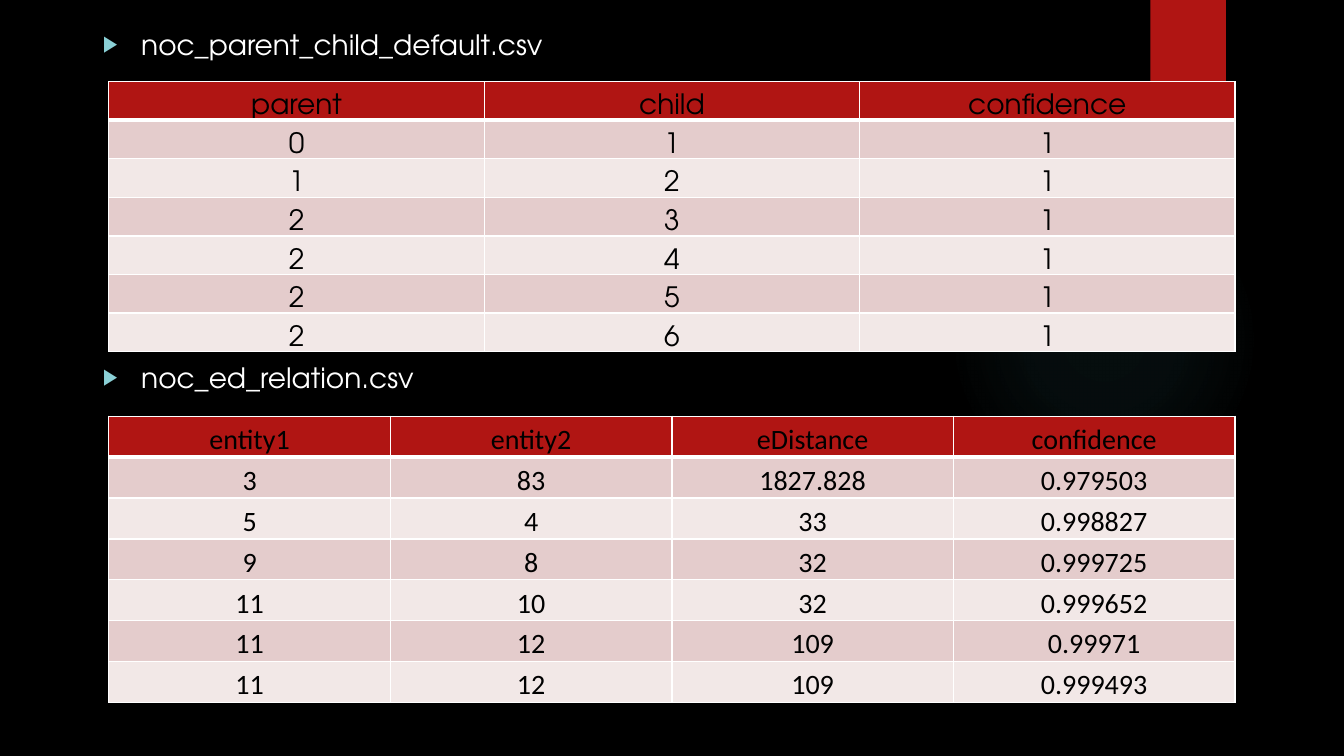
from lxml import etree
from pptx import Presentation
from pptx.dml.color import RGBColor
from pptx.enum.shapes import MSO_SHAPE
from pptx.enum.text import MSO_ANCHOR, PP_ALIGN
from pptx.oxml import parse_xml
from pptx.oxml.ns import qn
from pptx.util import Inches, Pt

RECTANGLE, OVAL = MSO_SHAPE.RECTANGLE, MSO_SHAPE.OVAL
CENTER, TOP, BOTTOM = PP_ALIGN.CENTER, MSO_ANCHOR.TOP, MSO_ANCHOR.BOTTOM
DRAWING = "http://schemas.openxmlformats.org/drawingml/2006/main"

BODY_FONT = "TeX Gyre Adventor"
BLACK, WHITE, RED = "000000", "FFFFFF", "B01513"
BAND_COLORS = ("E4CCCC", "F2E8E7")
BULLET_COLOR, GLOW_COLOR = "8AD0D6", "50B9C1"
GLOW_STOPS = ((0, 7), (36, 6), (69, 0))  # position %, opacity %
TEXT_SIZE = Pt(20)
TABLE_LEFT, TABLE_WIDTH = 1.08, 11.17

# File name and the space before it, in points
FILES = (("noc_parent_child_default.csv", 10), ("noc_ed_relation.csv", 214))

TABLES = (
    {
        "top": 0.81, "height": 2.68, "font": BODY_FONT,
        "rows": (
            ("parent", "child", "confidence"),
            ("0", "1", "1"),
            ("1", "2", "1"),
            ("2", "3", "1"),
            ("2", "4", "1"),
            ("2", "5", "1"),
            ("2", "6", "1"),
        ),
    },
    {
        "top": 4.13, "height": 2.84, "font": "Calibri",
        "rows": (
            ("entity1", "entity2", "eDistance", "confidence"),
            ("3", "83", "1827.828", "0.979503"),
            ("5", "4", "33", "0.998827"),
            ("9", "8", "32", "0.999725"),
            ("11", "10", "32", "0.999652"),
            ("11", "12", "109", "0.99971"),
            ("11", "12", "109", "0.999493"),
        ),
    },
)


def color(hex_value):
    return RGBColor.from_string(hex_value)


def set_fill(target, hex_value):
    target.fill.solid()
    target.fill.fore_color.rgb = color(hex_value)


def style_font(paragraph, font_name, hex_value):
    font = paragraph.font
    font.name, font.size, font.bold = font_name, TEXT_SIZE, False
    font.color.rgb = color(hex_value)


def add_decoration(slide, kind, left, top, width, height):
    shape = slide.shapes.add_shape(
        kind, Inches(left), Inches(top), Inches(width), Inches(height))
    shape.shadow.inherit = False
    shape.line.fill.background()
    set_fill(shape, RED)
    return shape


def set_glow(shape):
    """Replace the solid fill with a radial gradient that fades out."""
    stops = "".join(
        f'<a:gs pos="{position * 1000}"><a:srgbClr val="{GLOW_COLOR}">'
        f'<a:alpha val="{opacity * 1000}"/></a:srgbClr></a:gs>'
        for position, opacity in GLOW_STOPS)
    gradient = parse_xml(
        f'<a:gradFill xmlns:a="{DRAWING}"><a:gsLst>{stops}</a:gsLst>'
        '<a:path path="circle"><a:fillToRect l="50000" t="50000" r="50000" b="50000"/>'
        '</a:path></a:gradFill>')
    properties = shape._element.spPr
    properties.replace(properties.find(qn("a:solidFill")), gradient)


def set_bullet(paragraph):
    properties = paragraph._p.get_or_add_pPr()
    properties.set("marL", str(Inches(0.38)))
    properties.set("indent", str(-Inches(0.38)))
    bullet_color = etree.SubElement(properties, qn("a:buClr"))
    etree.SubElement(bullet_color, qn("a:srgbClr"), val=BULLET_COLOR)
    etree.SubElement(properties, qn("a:buSzPct"), val="80000")
    etree.SubElement(properties, qn("a:buChar"), char="▶")


def set_borders(cell, top_width, bottom_width):
    properties = cell._tc.get_or_add_tcPr()
    widths = {"lnL": 1, "lnR": 1, "lnT": top_width, "lnB": bottom_width}
    for side, width in widths.items():
        line = etree.SubElement(properties, qn(f"a:{side}"), w=str(Pt(width)))
        fill = etree.SubElement(line, qn("a:solidFill"))
        etree.SubElement(fill, qn("a:srgbClr"), val=WHITE)


def fill_body(body):
    body.left, body.top = Inches(0.92), Inches(0.22)
    body.width, body.height = Inches(11.5), Inches(6.75)
    frame = body.text_frame
    frame.vertical_anchor = TOP
    frame.text = "\n".join(name for name, _ in FILES)
    for paragraph, (_, space_before) in zip(frame.paragraphs, FILES):
        paragraph.space_before = Pt(space_before)
        set_bullet(paragraph)
        style_font(paragraph, BODY_FONT, WHITE)


def add_data_table(slide, top, height, font, rows):
    table = slide.shapes.add_table(
        len(rows), len(rows[0]), Inches(TABLE_LEFT), Inches(top),
        Inches(TABLE_WIDTH), Inches(height)).table
    for row_index, row in enumerate(rows):
        fill = BAND_COLORS[(row_index - 1) % 2] if row_index else RED
        for column_index, text in enumerate(row):
            cell = table.cell(row_index, column_index)
            cell.text = text
            cell.vertical_anchor = BOTTOM
            cell.margin_left = cell.margin_right = cell.margin_top = Inches(0.01)
            cell.margin_bottom = 0
            set_borders(cell, 3 if row_index == 1 else 1, 3 if row_index == 0 else 1)
            set_fill(cell, fill)
            paragraph = cell.text_frame.paragraphs[0]
            paragraph.alignment = CENTER
            style_font(paragraph, font, BLACK)


def main():
    presentation = Presentation()
    presentation.slide_width, presentation.slide_height = Inches(13.33), Inches(7.5)
    slide = presentation.slides.add_slide(presentation.slide_layouts[1])
    set_fill(slide.background, BLACK)
    title, body = slide.placeholders
    title._element.getparent().remove(title._element)

    set_glow(add_decoration(slide, OVAL, 9.41, 1.83, 3.08, 3.08))
    add_decoration(slide, RECTANGLE, 11.41, 0, 0.75, 1.25)
    slide.shapes._spTree.append(body._element)  # in front of the decorations
    fill_body(body)
    for table in TABLES:
        add_data_table(slide, **table)
    presentation.save("out.pptx")


if __name__ == "__main__":
    main()
